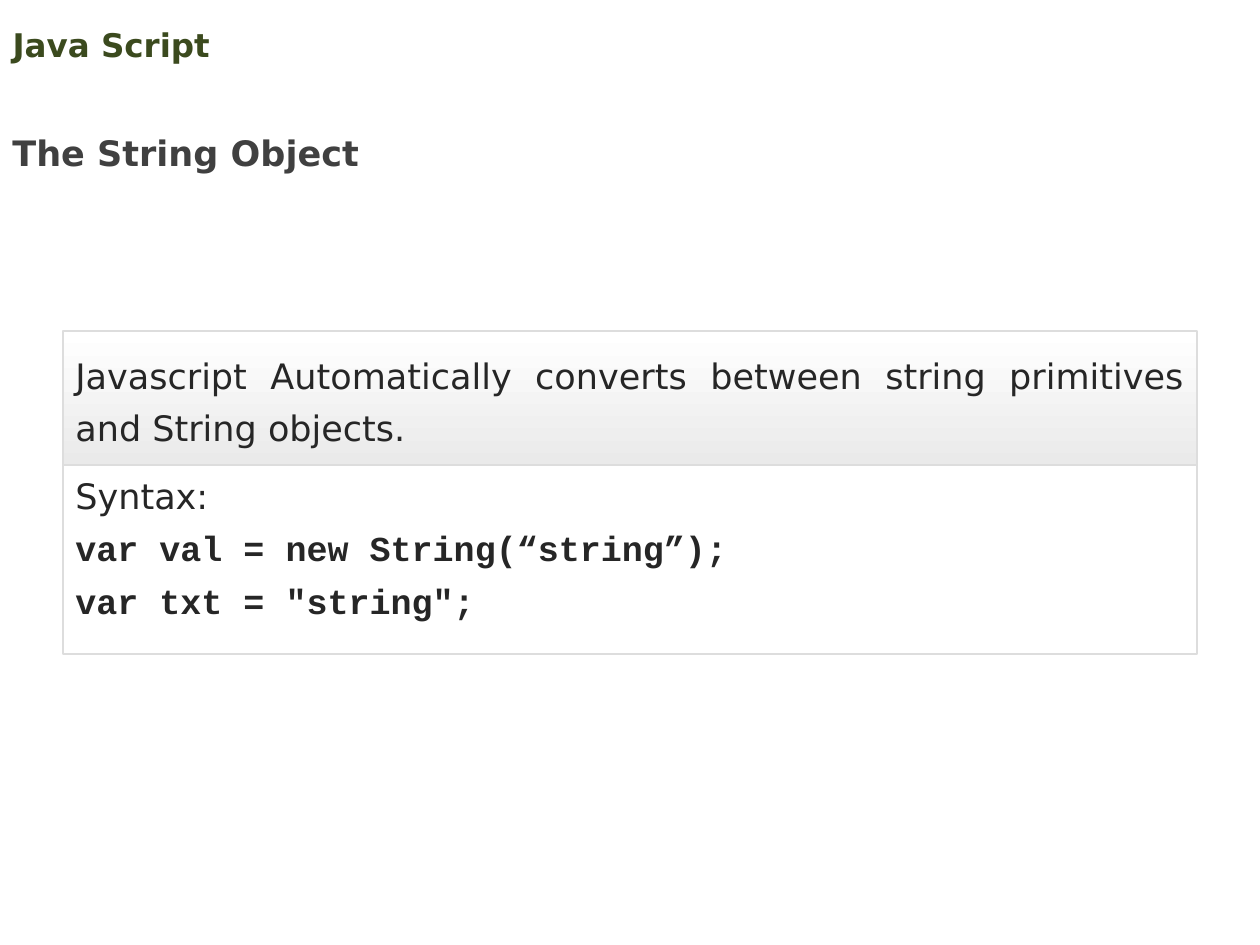
"""Builds a slide on the JavaScript String object."""
from pptx import Presentation
from pptx.dml.color import RGBColor
from pptx.enum import shapes, text
from pptx.util import Pt

SANS = "DejaVu Sans"
MONO = "Courier New"


def colour(value):
    return RGBColor.from_string(value)


def write(para, words, font=SANS, size=20, bold=False, ink="262626",
          align=text.PP_ALIGN.LEFT, spacing=None):
    para.alignment = align
    if spacing is not None:
        para.line_spacing = spacing
    span = para.add_run()
    span.text = words
    span.font.name = font
    span.font.size = Pt(size)
    span.font.bold = bold
    span.font.color.rgb = colour(ink)


class SlideBuilder:
    border = "DDDDDD"
    shades = ("FFFFFF", "EAEAEA")
    left, width = 36, 648

    def __init__(self, deck):
        self.page = deck.slides.add_slide(deck.slide_layouts[5])

    def frame(self, box, anchor, inset, wrap=True):
        body = box.text_frame
        body.word_wrap = wrap
        body.auto_size = text.MSO_AUTO_SIZE.NONE
        body.vertical_anchor = anchor
        body.margin_left = body.margin_right = Pt(7.2)
        body.margin_top = body.margin_bottom = Pt(inset)
        return body

    def title(self, words, top, height):
        box = self.page.shapes.title
        box.left, box.top = Pt(0), Pt(top)
        box.width, box.height = Pt(self.width), Pt(height)
        body = self.frame(box, text.MSO_ANCHOR.MIDDLE, 3.6)
        write(body.paragraphs[0], words, size=18.6, bold=True, ink="3B4A1E")

    def heading(self, words, top, width, height):
        box = self.page.shapes.add_textbox(Pt(0), Pt(top), Pt(width), Pt(height))
        body = self.frame(box, text.MSO_ANCHOR.TOP, 3.6, wrap=False)
        body.auto_size = text.MSO_AUTO_SIZE.SHAPE_TO_FIT_TEXT
        write(body.paragraphs[0], words, bold=True, ink="404040", spacing=1.5)

    def panel(self, lines, top, height, shaded=False):
        box = self.page.shapes.add_shape(
            shapes.MSO_SHAPE.RECTANGLE,
            Pt(self.left), Pt(top), Pt(self.width), Pt(height))
        box.shadow.inherit = False
        box.line.color.rgb = colour(self.border)
        box.line.width = Pt(1)
        if shaded:
            box.fill.gradient()
            box.fill.gradient_angle = 270
            for stop, shade, place in zip(box.fill.gradient_stops, self.shades, (0, 1)):
                stop.color.rgb = colour(shade)
                stop.position = place
        else:
            box.fill.background()
        body = self.frame(box, text.MSO_ANCHOR.TOP, 7.2)
        for index, (words, style) in enumerate(lines):
            para = body.add_paragraph() if index else body.paragraphs[0]
            write(para, words, align=text.PP_ALIGN.JUSTIFY, spacing=Pt(30), **style)


def main():
    deck = Presentation()
    deck.slide_width, deck.slide_height = Pt(720), Pt(540)
    builder = SlideBuilder(deck)
    code = {"font": MONO, "bold": True}
    builder.panel([
        ("Syntax:", {}),
        ("var val = new String(“string”);", code),
        ('var txt = "string";', code),
    ], top=257.76, height=115.92)
    builder.title("Java Script", top=10, height=31)
    builder.heading("The String Object", top=59.76, width=277.2, height=43.2)
    builder.panel([
        ("Javascript Automatically converts between string primitives "
         "and String objects.", {}),
    ], top=189.36, height=76.32, shaded=True)
    deck.save("out.pptx")


if __name__ == "__main__":
    main()
